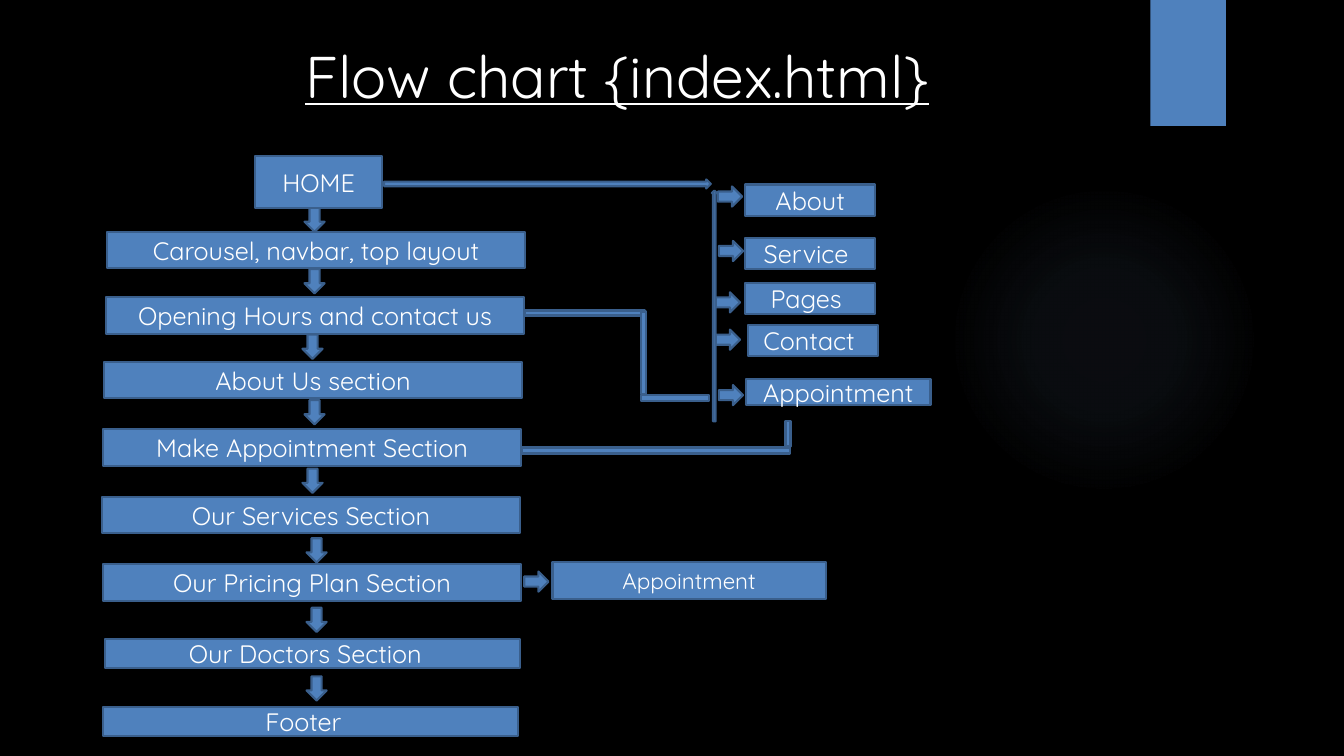
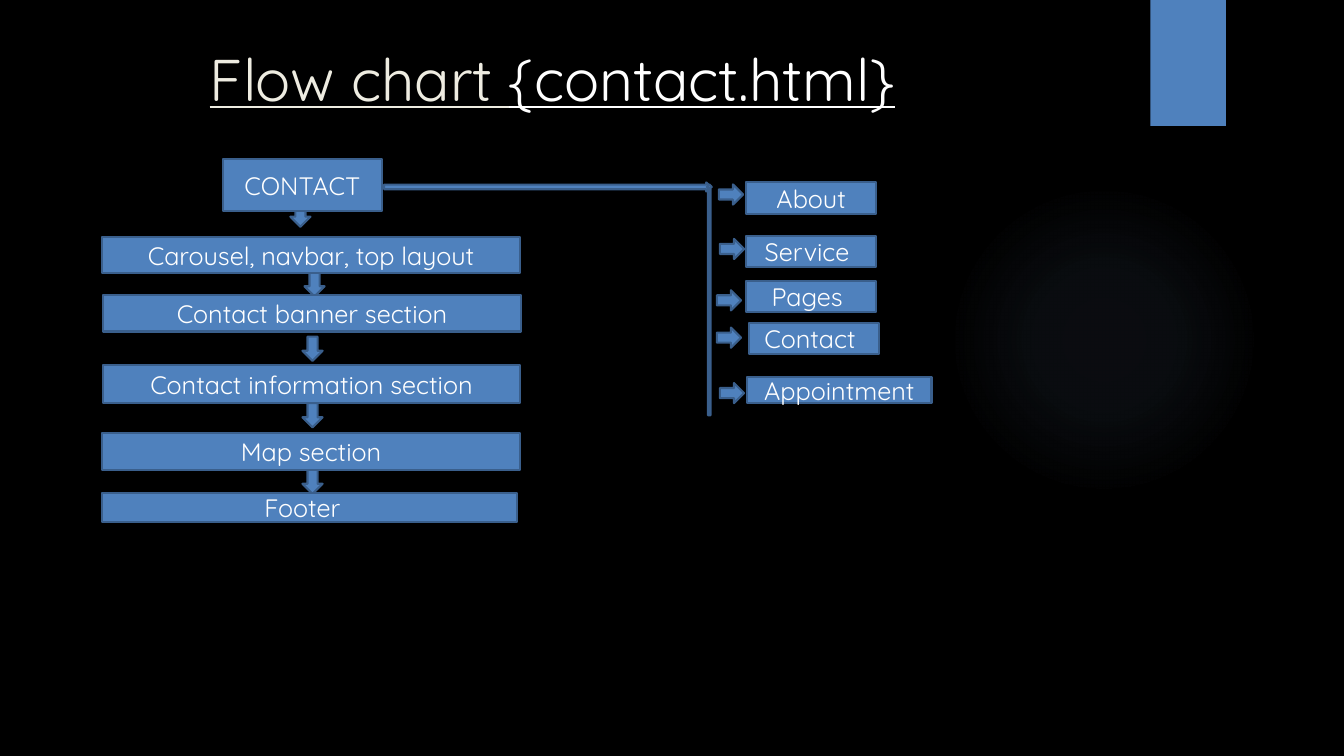
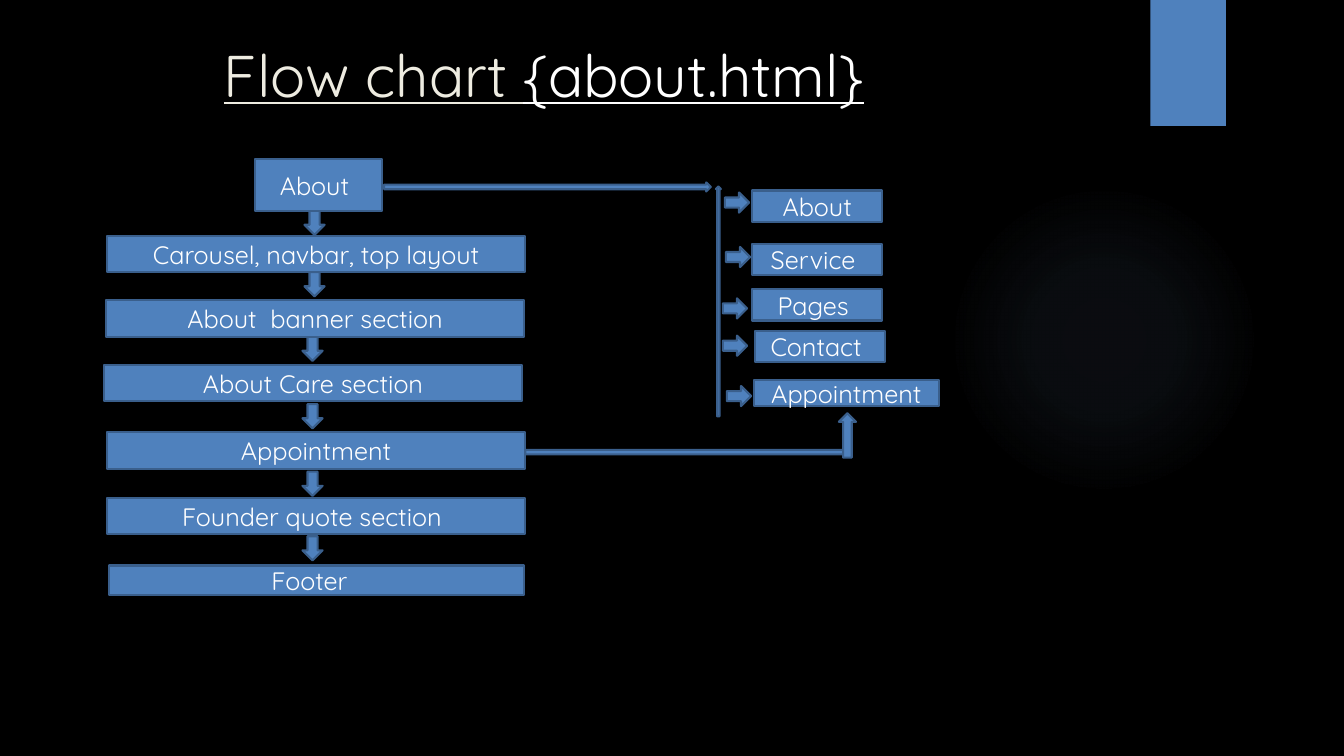
from dataclasses import dataclass

from lxml import etree
from pptx import Presentation
from pptx.dml.color import RGBColor
from pptx.enum.shapes import MSO_SHAPE
from pptx.enum.text import MSO_ANCHOR, MSO_AUTO_SIZE, PP_ALIGN
from pptx.util import Inches, Pt

RECTANGLE, OVAL = MSO_SHAPE.RECTANGLE, MSO_SHAPE.OVAL
DOWN, UP, RIGHT = MSO_SHAPE.DOWN_ARROW, MSO_SHAPE.UP_ARROW, MSO_SHAPE.RIGHT_ARROW
LEFT_ALIGN, CENTER_ALIGN = PP_ALIGN.LEFT, PP_ALIGN.CENTER
TOP, NO_FIT = MSO_ANCHOR.TOP, MSO_AUTO_SIZE.NONE

FONT = "Quicksand"
BLACK, WHITE, CREAM = "000000", "FFFFFF", "EEECE1"
BLUE, EDGE, GLOW = "4F81BD", "3A5F8C", "8EB4E3"
DRAWING_NS = "http://schemas.openxmlformats.org/drawingml/2006/main"
INSET = 0.1
ARROW_LENGTH, ARROW_BREADTH = 0.24, 0.2


@dataclass(frozen=True)
class Box:
    """A labelled rectangle; nudge is extra right inset that shifts the label left."""
    text: str
    left: float
    top: float
    width: float = 4.15
    height: float = 0.36
    nudge: float = 0
    size: int = 18


@dataclass(frozen=True)
class Bar:
    """An unlabelled piece of a connecting path."""
    kind: MSO_SHAPE
    left: float
    top: float
    width: float
    height: float


@dataclass(frozen=True)
class MenuItem:
    box: Box
    arrow_left: float
    arrow_top: float


@dataclass(frozen=True)
class FlowPage:
    title: tuple[tuple[str, str], ...]
    title_area: tuple[float, float, float, float]
    start: Box
    sections: tuple[Box, ...]
    down_arrows: tuple[tuple[float, float], ...]
    paths: tuple[Bar, ...]
    menu_shift: tuple[float, float] = (0, 0)
    last_item_shift: tuple[float, float] = (0, 0)


def menu_box(text: str, left: float, top: float, nudge: float = 0.08) -> Box:
    return Box(text, left, top, 1.29, 0.31, nudge)


def footer_box(left: float, top: float, text: str = "Footer") -> Box:
    return Box(text, left, top, 4.12, 0.29, 0.14)


MENU = (
    MenuItem(menu_box("About", 7.39, 1.83, 0), 7.12, 1.85),
    MenuItem(menu_box("Service", 7.39, 2.36), 7.13, 2.39),
    MenuItem(menu_box("Pages", 7.39, 2.81), 7.1, 2.9),
    MenuItem(menu_box("Contact", 7.42, 3.22), 7.1, 3.27),
    MenuItem(Box("Appointment", 7.4, 3.76, 1.83, 0.26), 7.13, 3.82),
)

PAGES = (
    FlowPage(
        title=(("Flow chart {index.html}", WHITE),),
        title_area=(2.93, 0.34, 6.86, 1.17),
        start=Box("HOME", 2.53, 1.55, 1.26, 0.51),
        sections=(
            Box("Carousel, navbar, top layout", 1.06, 2.3),
            Box("Opening Hours and contact us", 1.05, 2.95),
            Box("About Us section", 1.03, 3.59),
            Box("Make Appointment Section", 1.02, 4.26),
            Box("Our Services Section", 1.01, 4.93),
            Box("Our Pricing Plan Section", 1.02, 5.6),
            Box("Appointment", 5.48, 5.58, 2.71, size=16),
            footer_box(1.04, 6.34, "Our Doctors Section"),
            footer_box(1.02, 7.01),
        ),
        down_arrows=((3.02, 2.06), (3.02, 2.67), (3, 3.32), (3.02, 3.97),
                     (3, 4.65), (3.04, 5.34), (3.04, 6.03), (3.04, 6.71)),
        paths=(
            Bar(UP, 7.06, 1.89, 0.05, 2.29),
            Bar(RIGHT, 5.2, 5.67, ARROW_LENGTH, ARROW_BREADTH),
            Bar(RECTANGLE, 5.21, 3.08, 1.19, 0.05),
            Bar(RECTANGLE, 6.36, 3.09, 0.05, 0.82),
            Bar(RECTANGLE, 6.36, 3.92, 0.67, 0.06),
            Bar(RECTANGLE, 5.18, 4.44, 2.66, 0.06),
            Bar(RECTANGLE, 7.79, 4.18, 0.05, 0.25),
        ),
    ),
    FlowPage(
        title=(("Flow chart ", CREAM), ("{contact.html}", WHITE)),
        title_area=(1.98, 0.37, 7.97, 1.1),
        start=Box("CONTACT", 2.21, 1.58, 1.58, 0.51),
        sections=(
            Box("Carousel, navbar, top layout", 1.01, 2.35),
            Box("Contact banner section", 1.02, 2.93),
            Box("Contact information section", 1.02, 3.62, 4.14, 0.38),
            Box("Map section", 1.01, 4.3),
            footer_box(1.01, 4.89),
        ),
        down_arrows=((2.88, 2.01), (3.02, 2.7), (3, 3.34), (3, 4), (3, 4.66)),
        paths=(Bar(UP, 7.01, 1.83, 0.05, 2.29),),
        menu_shift=(0.01, -0.02),
    ),
    FlowPage(
        title=(("Flow chart ", CREAM), ("{about.html}", WHITE)),
        title_area=(2.12, 0.33, 7.2, 1.1),
        start=Box("About", 2.53, 1.58, 1.26, 0.51, 0.08),
        sections=(
            Box("Carousel, navbar, top layout", 1.06, 2.34),
            Box("About  banner section", 1.05, 2.98),
            Box("About Care section", 1.03, 3.62),
            Box("Appointment", 1.06, 4.29),
            Box("Founder quote section", 1.06, 4.94, nudge=0.08),
            footer_box(1.08, 5.61),
        ),
        down_arrows=((3.02, 2.09), (3.02, 2.7), (3, 3.34), (3, 4.01),
                     (3, 4.68), (3, 5.32)),
        paths=(
            Bar(UP, 7.1, 1.85, 0.05, 2.28),
            Bar(RIGHT, 5.21, 4.44, 3.24, 0.09),
            Bar(UP, 8.32, 4.1, 0.17, 0.44),
        ),
        menu_shift=(0.07, 0.06),
        last_item_shift=(0.01, -0.05),
    ),
)


def color(code: str) -> RGBColor:
    return RGBColor.from_string(code)


def add_block(shapes, kind: MSO_SHAPE, left: float, top: float,
              width: float, height: float):
    block = shapes.add_shape(kind, Inches(left), Inches(top),
                             Inches(width), Inches(height))
    block.shadow.inherit = False
    block.fill.solid()
    block.fill.fore_color.rgb = color(BLUE)
    block.line.color.rgb = color(EDGE)
    block.line.width = Pt(1.5)
    return block


def add_box(shapes, box: Box, dx: float = 0, dy: float = 0) -> None:
    block = add_block(shapes, RECTANGLE, box.left + dx, box.top + dy,
                      box.width, box.height)
    frame = block.text_frame
    frame.margin_right = Inches(INSET + box.nudge)
    para = frame.paragraphs[0]
    para.text = box.text
    para.alignment = CENTER_ALIGN
    para.font.name = FONT
    para.font.size = Pt(box.size)
    para.font.color.rgb = color(WHITE)


def add_title(page, flow: FlowPage) -> None:
    title = page.shapes.title
    title.left, title.top, title.width, title.height = map(Inches, flow.title_area)
    frame = title.text_frame
    frame.auto_size = NO_FIT
    frame.vertical_anchor = TOP
    para = frame.paragraphs[0]
    para.alignment = LEFT_ALIGN
    para.font.name = FONT
    para.font.size = Pt(42)
    para.font.underline = True
    for text, code in flow.title:
        span = para.add_run()
        span.text = text
        span.font.color.rgb = color(code)


def add_menu(page, flow: FlowPage) -> None:
    group = page.shapes.add_group_shape()
    for item in MENU:
        dx, dy = flow.menu_shift
        if item is MENU[-1]:
            dx += flow.last_item_shift[0]
            dy += flow.last_item_shift[1]
        add_block(group.shapes, RIGHT, item.arrow_left + dx, item.arrow_top + dy,
                  ARROW_LENGTH, ARROW_BREADTH)
        add_box(group.shapes, item.box, dx, dy)


def fade_from_center(shape) -> None:
    """Fill the shape with a faint glow that fades out towards its edge."""
    shape.fill.gradient()
    old_fill = shape.element.spPr.find(f"{{{DRAWING_NS}}}gradFill")
    stops = "".join(
        f'<a:gs pos="{position * 1000}"><a:srgbClr val="{GLOW}">'
        f'<a:alpha val="{alpha * 1000}"/></a:srgbClr></a:gs>'
        for position, alpha in ((0, 7), (36, 6), (69, 0), (100, 0)))
    new_fill = etree.fromstring(
        f'<a:gradFill xmlns:a="{DRAWING_NS}" rotWithShape="1">'
        f'<a:gsLst>{stops}</a:gsLst><a:path path="circle">'
        '<a:fillToRect l="50000" t="50000" r="50000" b="50000"/>'
        '</a:path></a:gradFill>')
    old_fill.getparent().replace(old_fill, new_fill)


def decorate_master(deck, page) -> None:
    """Set the background and move the glow and band from the page to the master."""
    master = deck.slide_master
    master.background.fill.solid()
    master.background.fill.fore_color.rgb = color(BLACK)
    glow = add_block(page.shapes, OVAL, 9.41, 1.83, 3.08, 3.08)
    fade_from_center(glow)
    band = add_block(page.shapes, RECTANGLE, 11.41, 0, 0.75, 1.25)
    for shape in (glow, band):
        shape.line.fill.background()
        master.shapes.element.append(shape.element)


def add_flow(page, flow: FlowPage) -> None:
    add_title(page, flow)
    for left, top in flow.down_arrows:
        add_block(page.shapes, DOWN, left, top, ARROW_BREADTH, ARROW_LENGTH)
    add_block(page.shapes, RIGHT, 3.81, flow.start.top + 0.23, 3.24, 0.09)
    for box in (flow.start, *flow.sections):
        add_box(page.shapes, box)
    add_menu(page, flow)
    for bar in flow.paths:
        add_block(page.shapes, bar.kind, bar.left, bar.top, bar.width, bar.height)


def main() -> None:
    deck = Presentation()
    deck.slide_width, deck.slide_height = Inches(13.33), Inches(7.5)
    title_only = deck.slide_layouts[5]
    for flow in PAGES:
        page = deck.slides.add_slide(title_only)
        if flow is PAGES[0]:
            decorate_master(deck, page)
        add_flow(page, flow)
    deck.save("out.pptx")


if __name__ == "__main__":
    main()
